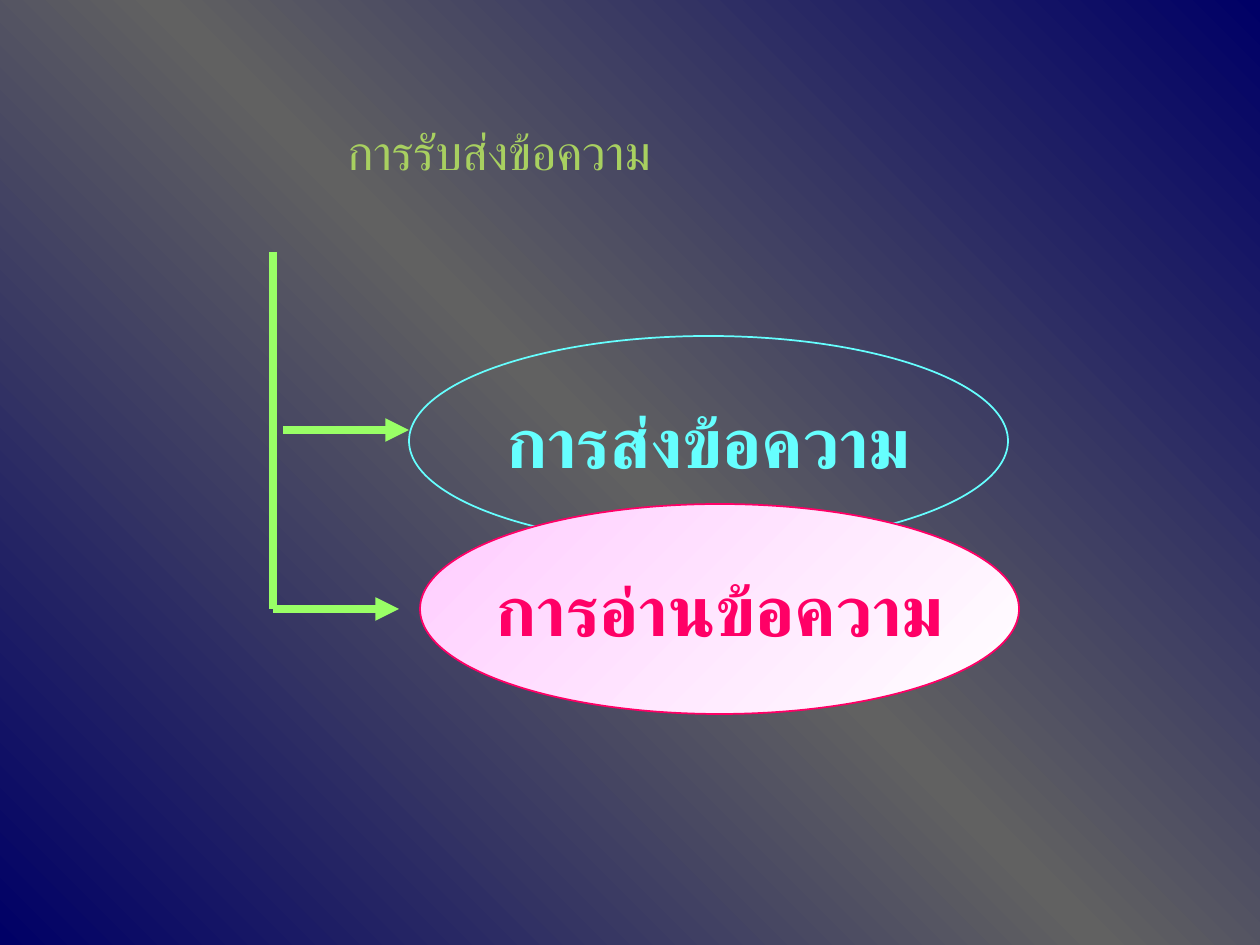
from typing import NamedTuple

from lxml import etree
from pptx import Presentation
from pptx.dml.color import RGBColor
from pptx.enum.shapes import MSO_CONNECTOR, MSO_SHAPE
from pptx.enum.text import MSO_ANCHOR, PP_ALIGN
from pptx.oxml.ns import qn
from pptx.util import Emu, Pt

OVAL, LINE = MSO_SHAPE.OVAL, MSO_CONNECTOR.STRAIGHT
MID, TOP = MSO_ANCHOR.MIDDLE, MSO_ANCHOR.TOP
CENTER = PP_ALIGN.CENTER
SCALE = 914400 / 126
FONT = "Arial"
GREEN = "99FF66"
OVAL_W, OVAL_H = 599, 210


class Grad(NamedTuple):
    colors: tuple[str, ...]
    angle: int


class Bubble(NamedTuple):
    text: str
    left: int
    top: int
    color: str
    fill: Grad | None = None


class Stroke(NamedTuple):
    x1: int
    y1: int
    x2: int
    y2: int
    arrow: bool


BACK = Grad(("000066", "616161", "000066"), 135)
TITLE = Grad(("A8D060", "CCFF99"), 90)
SEND = Bubble("การส่งข้อความ", 409, 336, "66FFFF")
READ = Bubble("การอ่านข้อความ", 420, 504, "FF0066",
              Grad(("FFFFFF", "FFCCFF"), 225))
STROKES = [
    Stroke(273, 252, 273, 609, False),
    Stroke(273, 609, 399, 609, True),
    Stroke(283, 430, 409, 430, True),
]


def px(n: int) -> Emu:
    return Emu(round(n * SCALE))


def rgb(code: str) -> RGBColor:
    return RGBColor.from_string(code)


def blend(fill, owner, grad: Grad) -> None:
    """Give the fill a linear gradient with evenly spaced stops."""
    fill.gradient()
    node = next(owner.iter(qn("a:gradFill")))
    for child in list(node):
        node.remove(child)
    stops = etree.SubElement(node, qn("a:gsLst"))
    step = 100000 // (len(grad.colors) - 1)
    for i, code in enumerate(grad.colors):
        stop = etree.SubElement(stops, qn("a:gs"), pos=str(i * step))
        etree.SubElement(stop, qn("a:srgbClr"), val=code)
    etree.SubElement(node, qn("a:lin"), ang=str(grad.angle * 60000), scaled="0")


def write(shape, text: str, *, size: int, color: str | Grad,
          bold: bool = False, anchor=TOP, edge: str = "") -> None:
    frame = shape.text_frame
    frame.word_wrap = False
    frame.vertical_anchor = anchor
    para = frame.paragraphs[0]
    para.alignment = CENTER
    run = para.add_run()
    run.text = text
    font = run.font
    font.name, font.size, font.bold = FONT, Pt(size), bold
    props = run._r.get_or_add_rPr()
    etree.SubElement(props, qn("a:cs"), typeface=FONT)
    if isinstance(color, Grad):
        blend(font.fill, props, color)
    else:
        font.color.rgb = rgb(color)
    if edge:
        line = etree.Element(qn("a:ln"), w=str(Pt(1)))
        solid = etree.SubElement(line, qn("a:solidFill"))
        etree.SubElement(solid, qn("a:srgbClr"), val=edge)
        props.insert(0, line)


def draw_bubble(slide, item: Bubble) -> None:
    oval = slide.shapes.add_shape(
        OVAL, px(item.left), px(item.top), px(OVAL_W), px(OVAL_H))
    oval.shadow.inherit = False
    if item.fill:
        blend(oval.fill, oval.element, item.fill)
    else:
        oval.fill.background()
    oval.line.color.rgb = rgb(item.color)
    oval.line.width = Pt(1)
    write(oval, item.text, size=40, color=item.color, bold=True, anchor=MID)


def draw_stroke(slide, item: Stroke) -> None:
    line = slide.shapes.add_connector(
        LINE, px(item.x1), px(item.y1), px(item.x2), px(item.y2))
    line.line.color.rgb = rgb(GREEN)
    line.line.width = Pt(4.5)
    if item.arrow:
        etree.SubElement(line.line._get_or_add_ln(), qn("a:tailEnd"), type="triangle")
    etree.SubElement(line.element.spPr, qn("a:effectLst"))


def main() -> None:
    deck = Presentation()
    deck.slide_width, deck.slide_height = px(1260), px(945)
    slide = deck.slides.add_slide(deck.slide_layouts[6])
    blend(slide.background.fill, slide.element, BACK)
    title = slide.shapes.add_textbox(px(231), px(115), px(536), px(105))
    write(title, "การรับส่งข้อความ", size=28, color=TITLE, edge="669900")
    draw_bubble(slide, SEND)
    for item in STROKES:
        draw_stroke(slide, item)
    draw_bubble(slide, READ)
    deck.save("out.pptx")


if __name__ == "__main__":
    main()
